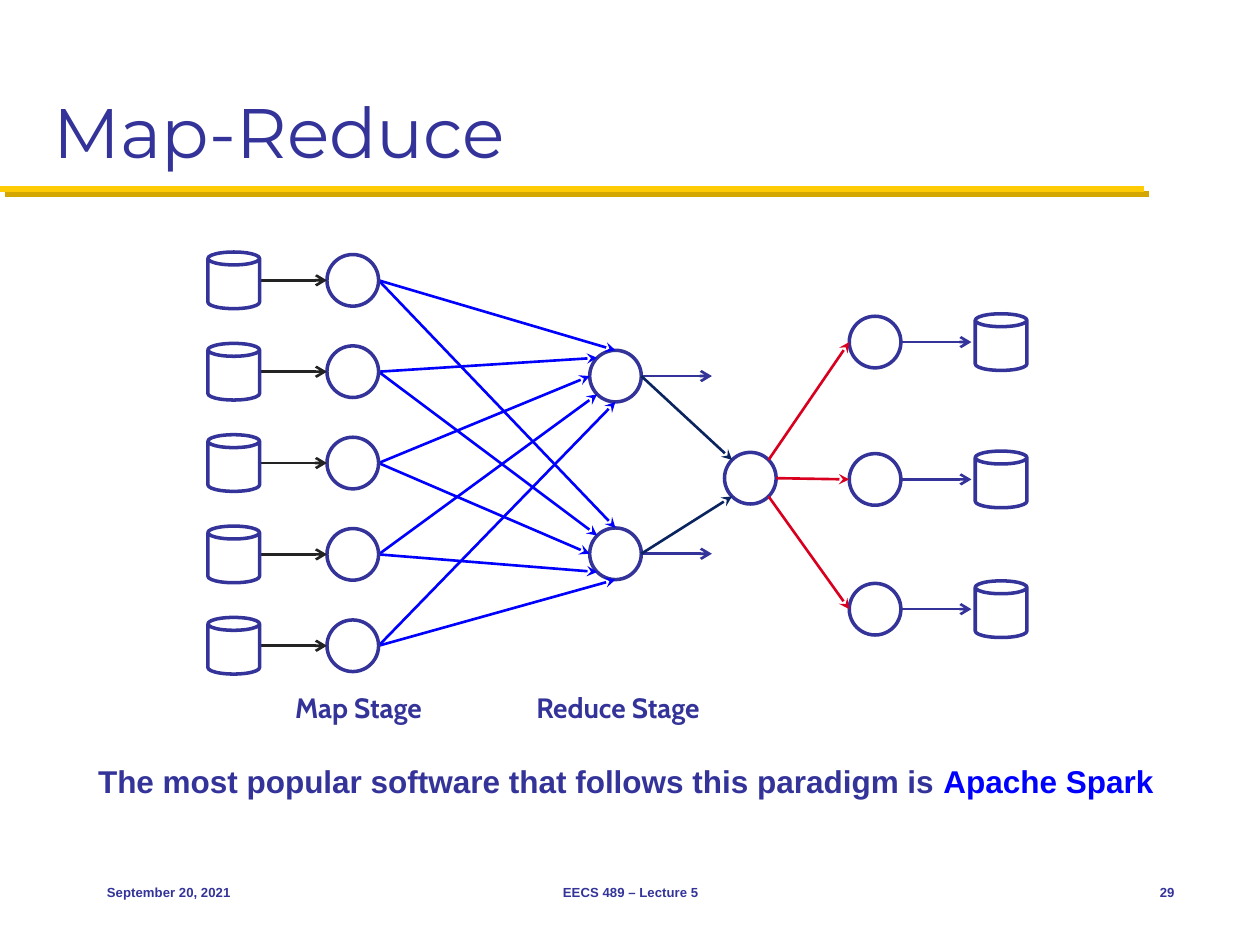
from dataclasses import dataclass
from math import cos, radians, sin

from lxml.etree import SubElement
from pptx import Presentation
from pptx.dml.color import RGBColor
from pptx.enum.shapes import MSO_CONNECTOR, MSO_SHAPE
from pptx.enum.text import MSO_ANCHOR, PP_ALIGN
from pptx.oxml.ns import qn
from pptx.util import Inches, Pt


@dataclass(frozen=True)
class Theme:
    ink: str = "333399"
    blue: str = "0000FF"
    navy: str = "09245F"
    red: str = "D9001F"
    black: str = "232323"
    gold: str = "FFCB05"
    dark_gold: str = "D3A600"
    title_font: str = "Montserrat"
    label_font: str = "Cabin"
    body_font: str = "Arial"
    title_size: float = 40
    message_size: float = 18
    label_size: float = 16
    footer_size: float = 7.5
    outline: float = 2
    arrow: float = 1.5
    rule: float = 3.5


RADIUS = 0.205
CAN_HEIGHT = 0.45


def port(center, degrees):
    """Point on a node's rim, counted counter-clockwise from the right."""
    x, y = center
    angle = radians(degrees)
    return x + RADIUS * cos(angle), y - RADIUS * sin(angle)


class Diagram:
    def __init__(self, page, theme):
        self.page = page
        self.theme = theme

    def outlined(self, kind, center, height):
        x, y = center
        shape = self.page.shapes.add_shape(
            kind, Inches(x - RADIUS), Inches(y - height / 2),
            Inches(2 * RADIUS), Inches(height))
        shape.shadow.inherit = False
        shape.fill.background()
        shape.line.color.rgb = RGBColor.from_string(self.theme.ink)
        shape.line.width = Pt(self.theme.outline)

    def node(self, center):
        self.outlined(MSO_SHAPE.OVAL, center, 2 * RADIUS)

    def store(self, center):
        self.outlined(MSO_SHAPE.CAN, center, CAN_HEIGHT)

    def line(self, start, end, color, width):
        """Return the connector and its empty effect list."""
        connector = self.page.shapes.add_connector(
            MSO_CONNECTOR.STRAIGHT, *map(Inches, start + end))
        connector.line.color.rgb = RGBColor.from_string(color)
        connector.line.width = Pt(width)
        effects = SubElement(connector._element.spPr, qn("a:effectLst"))
        return connector, effects

    def arrow(self, start, end, color, head="arrow"):
        connector, _ = self.line(start, end, color, self.theme.arrow)
        SubElement(connector.line._get_or_add_ln(), qn("a:tailEnd"), type=head)

    def rule(self, start, end):
        _, effects = self.line(start, end, self.theme.gold, self.theme.rule)
        shadow = SubElement(effects, qn("a:outerShdw"), dist=str(Pt(4.2)),
                            dir=str(45 * 60000), algn="ctr", rotWithShape="0")
        SubElement(shadow, qn("a:srgbClr"), val=self.theme.dark_gold)

    def text(self, bounds, spans, size, font, bold=True,
             align=PP_ALIGN.LEFT, anchor=MSO_ANCHOR.MIDDLE, wrap=False):
        """Add one paragraph made of (words, color) spans."""
        box = self.page.shapes.add_textbox(*map(Inches, bounds))
        frame = box.text_frame
        frame.word_wrap = wrap
        frame.vertical_anchor = anchor
        para = frame.paragraphs[0]
        para.alignment = align
        para.font.size = Pt(size)
        para.font.name = font
        para.font.bold = bold
        for words, color in spans:
            span = para.add_run()
            span.text = words
            span.font.color.rgb = RGBColor.from_string(color)


def draw_flow(diagram):
    theme = diagram.theme
    mappers = [(2.8, 2.225 + 0.725 * row) for row in range(5)]
    reducers = [(4.885, 2.985), (4.885, 4.395)]
    merger = (5.955, 3.795)
    collectors = [(6.945, y) for y in (2.715, 3.805, 4.835)]

    for reducer in reducers:
        diagram.node(reducer)
        for index, mapper in enumerate(mappers):
            diagram.arrow(port(mapper, 0), port(reducer, 90 + 45 * index),
                          theme.blue, "stealth")

    for mapper in mappers:
        y = mapper[1]
        diagram.node(mapper)
        diagram.arrow((2.07, y), port(mapper, 180), theme.black)
        diagram.store((1.855, y))

    diagram.node(merger)
    for reducer, angle in zip(reducers, (135, 225)):
        start = port(reducer, 0)
        diagram.arrow(start, (5.65, reducer[1]), theme.ink)
        diagram.arrow(start, port(merger, angle), theme.navy, "stealth")

    for collector, angle in zip(collectors, (45, 0, -45)):
        y = collector[1]
        diagram.node(collector)
        diagram.arrow(port(merger, angle), port(collector, 180),
                      theme.red, "stealth")
        diagram.arrow(port(collector, 0), (7.71, y), theme.ink)
        diagram.store((7.945, y))


def draw_words(diagram):
    theme = diagram.theme
    diagram.rule((0, 1.5), (9.08, 1.5))
    diagram.text((0.33, 0.17, 9.33, 1.25), [("Map-Reduce", theme.ink)],
                 theme.title_size, theme.title_font, bold=False,
                 anchor=MSO_ANCHOR.BOTTOM, wrap=True)

    for left, width, words in ((2.15, 1.39, "Map Stage"),
                               (4.04, 1.73, "Reduce Stage")):
        diagram.text((left, 5.43, width, 0.37), [(words, theme.ink)],
                     theme.label_size, theme.label_font,
                     align=PP_ALIGN.CENTER, anchor=MSO_ANCHOR.TOP)

    diagram.text((0.68, 6, 8.65, 0.4),
                 [("The most popular software that follows this paradigm is ",
                   theme.ink), ("Apache Spark", theme.blue)],
                 theme.message_size, theme.body_font, anchor=MSO_ANCHOR.TOP)

    for left, width, words, align in (
            (0.75, 2.08, "September 20, 2021", PP_ALIGN.LEFT),
            (3.42, 3.17, "EECS 489 – Lecture 5", PP_ALIGN.CENTER),
            (8.75, 0.67, "29", PP_ALIGN.RIGHT)):
        diagram.text((left, 6.83, width, 0.5), [(words, theme.ink)],
                     theme.footer_size, theme.body_font, align=align, wrap=True)


def main():
    deck = Presentation()
    deck.slide_width = Inches(10)
    deck.slide_height = Inches(7.5)
    page = deck.slides.add_slide(deck.slide_layouts[6])
    diagram = Diagram(page, Theme())
    draw_words(diagram)
    draw_flow(diagram)
    deck.save("out.pptx")


if __name__ == "__main__":
    main()
